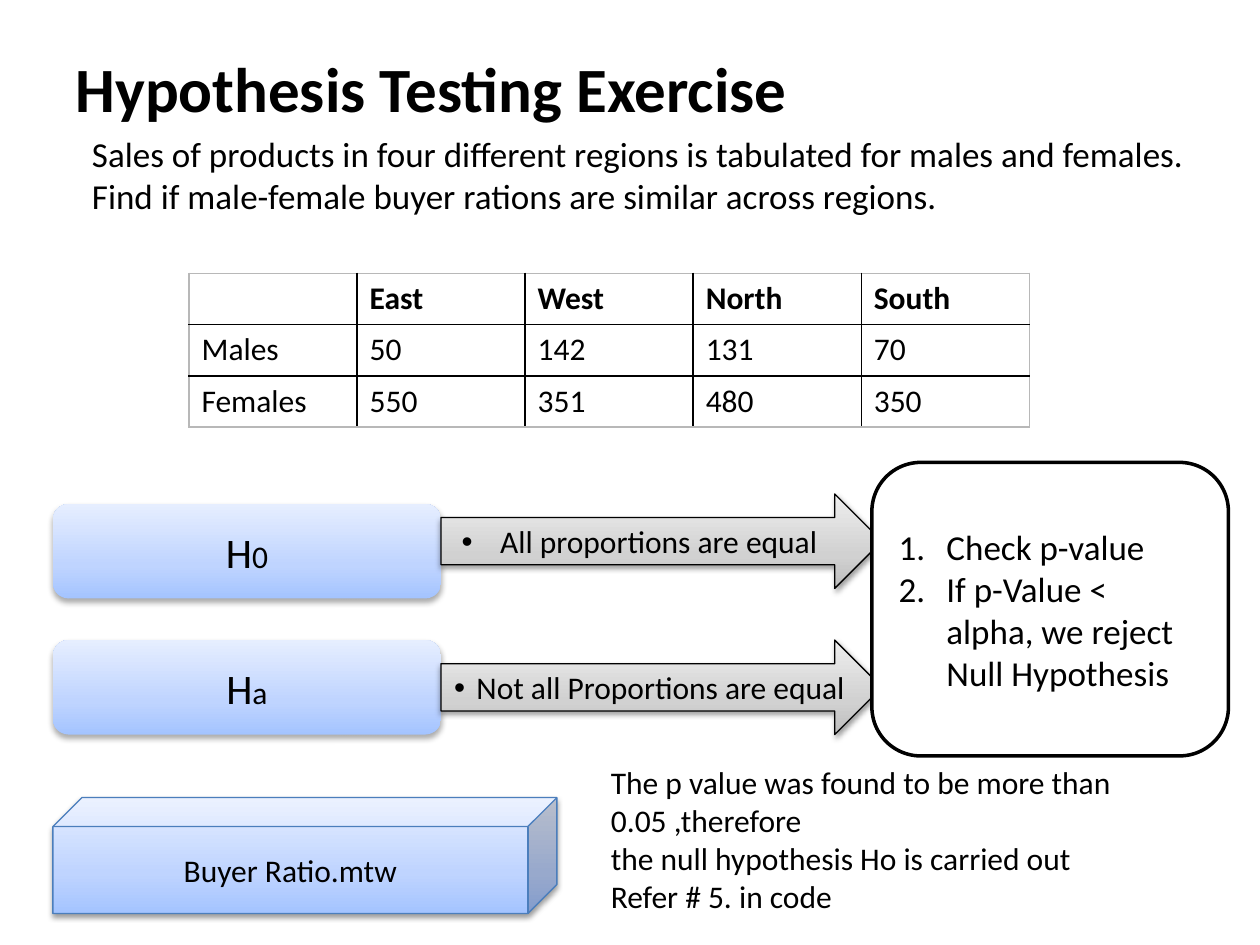
from lxml import etree
from pptx import Presentation
from pptx.dml.color import RGBColor
from pptx.enum.shapes import MSO_SHAPE
from pptx.enum.text import MSO_ANCHOR, MSO_AUTO_SIZE, PP_ALIGN
from pptx.oxml.ns import qn
from pptx.util import Inches, Pt

ROUNDED, ARROW, CUBE = MSO_SHAPE.ROUNDED_RECTANGLE, MSO_SHAPE.RIGHT_ARROW, MSO_SHAPE.CUBE
LEFT, CENTER = PP_ALIGN.LEFT, PP_ALIGN.CENTER
TOP, MIDDLE = MSO_ANCHOR.TOP, MSO_ANCHOR.MIDDLE
NO_FIT, FIT_SHAPE = MSO_AUTO_SIZE.NONE, MSO_AUTO_SIZE.SHAPE_TO_FIT_TEXT

FONT = "Calibri"
COLORS = {"text": "000000", "paper": "FFFFFF", "edge": "4B7EBC", "frame": "B8B8B8"}
# Gradient stops from bottom to top
BLUE = [(0, "A4C4FF"), (35, "BFD4FF"), (100, "E6EEFF")]
GREY = [(0, "BDBDBD"), (35, "D1D1D1"), (100, "EEEEEE")]
# Opacity in percent, blur and distance in points
SOFT_SHADOW = (32, 3.5, 2.2)
TIGHT_SHADOW = (38, 3.1, 1.6)

SALES = [
    ["", "East", "West", "North", "South"],
    ["Males", "50", "142", "131", "70"],
    ["Females", "550", "351", "480", "350"],
]


def color(name):
    return RGBColor.from_string(COLORS[name])


def add_xml(parent, tag, **attributes):
    element = etree.SubElement(parent, qn(tag))
    for name, value in attributes.items():
        element.set(name, str(value))
    return element


def add_color(parent, value):
    return add_xml(parent, "a:srgbClr", val=value)


def place(shape, left, top, width, height):
    shape.left, shape.top = Inches(left), Inches(top)
    shape.width, shape.height = Inches(width), Inches(height)


def format_run(run, size, bold=False):
    run.font.name, run.font.size, run.font.bold = FONT, Pt(size), bold
    run.font.color.rgb = color("text")


def write(shape, lines, size, align=LEFT, anchor=MIDDLE, bold=False):
    frame = shape.text_frame
    frame.text = "\n".join(lines)
    frame.word_wrap = True
    frame.auto_size = NO_FIT
    frame.vertical_anchor = anchor
    for paragraph in frame.paragraphs:
        paragraph.alignment = align
        for run in paragraph.runs:
            format_run(run, size, bold)


def set_marker(paragraph, margin, indent, tag, **attributes):
    properties = paragraph._p.get_or_add_pPr()
    properties.set("marL", str(Inches(margin)))
    properties.set("indent", str(Inches(indent)))
    if tag == "a:buChar":
        add_xml(properties, "a:buFont", typeface="Arial")
    add_xml(properties, tag, **attributes)


def add_block(slide, kind, box, fill, line=None, width=0.75, shadow=None):
    shape = slide.shapes.add_shape(kind, *map(Inches, box))
    if isinstance(fill, list):
        shape.fill.gradient()
        shape.fill.gradient_angle = 90
        stops = next(shape._element.spPr.iter(qn("a:gsLst")))
        stops.clear()
        for position, value in fill:
            add_color(add_xml(stops, "a:gs", pos=position * 1000), value)
    else:
        shape.fill.solid()
        shape.fill.fore_color.rgb = color(fill)
    if line:
        shape.line.color.rgb = color(line)
        shape.line.width = Pt(width)
    else:
        shape.line.fill.background()
    shape.shadow.inherit = False
    if shadow:
        opacity, blur, distance = shadow
        effects = shape._element.spPr.find(qn("a:effectLst"))
        outer = add_xml(effects, "a:outerShdw", blurRad=Pt(blur), dist=Pt(distance),
                        dir=90 * 60000, rotWithShape=0)
        add_xml(add_color(outer, COLORS["text"]), "a:alpha", val=opacity * 1000)
    return shape


def add_hypothesis(slide, top, subscript):
    shape = add_block(slide, ROUNDED, (0.42, top, 3.08, 0.75), BLUE, shadow=SOFT_SHADOW)
    write(shape, ["H"], 24, CENTER)
    run = shape.text_frame.paragraphs[0].add_run()
    run.text = subscript
    format_run(run, 18)


def add_claim(slide, top, text, hanging, right_inset):
    shape = add_block(slide, ARROW, (3.5, top, 3.5, 0.75), GREY, "text", shadow=TIGHT_SHADOW)
    write(shape, [text], 18, CENTER)
    shape.text_frame.margin_right = Inches(right_inset)
    set_marker(shape.text_frame.paragraphs[0], hanging, -hanging, "a:buChar", char="•")


def set_borders(cell, outer_sides):
    properties = cell._tc.get_or_add_tcPr()
    for index, side in enumerate("LRTB"):
        line = etree.Element(qn(f"a:ln{side}"), w=str(Pt(1)))
        name = "frame" if side in outer_sides else "text"
        add_color(add_xml(line, "a:solidFill"), COLORS[name])
        properties.insert(index, line)


def add_sales_table(slide):
    rows, columns = len(SALES), len(SALES[0])
    box = map(Inches, (1.5, 2.17, 6.67, 1.22))
    table = slide.shapes.add_table(rows, columns, *box).table
    table.first_row = table.horz_banding = False
    for row, values in enumerate(SALES):
        for column, value in enumerate(values):
            cell = table.cell(row, column)
            cell.text = value
            cell.fill.solid()
            cell.fill.fore_color.rgb = color("paper")
            for run in cell.text_frame.paragraphs[0].runs:
                format_run(run, 18, bold=row == 0)
            edges = {"L": column == 0, "R": column == columns - 1,
                     "T": row == 0, "B": row == rows - 1}
            set_borders(cell, [side for side, outer in edges.items() if outer])


def add_decision(slide):
    shape = add_block(slide, ROUNDED, (6.92, 3.67, 2.83, 2.33), "paper", "text", 2)
    write(shape, ["Check p-value", "If p-Value < alpha, we reject Null Hypothesis"], 20)
    for paragraph in shape.text_frame.paragraphs:
        set_marker(paragraph, 0.38, -0.38, "a:buAutoNum", type="arabicPeriod")


def add_conclusion(slide):
    box = slide.shapes.add_textbox(*map(Inches, (4.75, 6.01, 5, 1.62)))
    write(box, ["The p value was found to be more than 0.05 ,therefore",
                "the null hypothesis Ho is carried out",
                "Refer # 5. in code"], 18, anchor=TOP)
    box.text_frame.auto_size = FIT_SHAPE


def main():
    presentation = Presentation()
    presentation.slide_width, presentation.slide_height = Inches(10), Inches(7.5)
    slide = presentation.slides.add_slide(presentation.slide_layouts[1])

    # Title and task
    title, body = slide.placeholders
    place(title, 0.5, 0.3, 9, 0.78)
    write(title, ["Hypothesis Testing Exercise"], 36, bold=True)
    place(body, 0.25, 1, 9.58, 6.25)
    write(body, ["Sales of products in four different regions is tabulated for males and females. "
                 "Find if male-female buyer rations are similar across regions."], 20, anchor=TOP)
    set_marker(body.text_frame.paragraphs[0], 0.38, 0, "a:buNone")

    add_sales_table(slide)

    # Hypotheses, their claims and the decision rule
    add_hypothesis(slide, 4, "0")
    add_hypothesis(slide, 5.08, "a")
    add_claim(slide, 3.92, " All proportions are equal", 0.25, 0.26)
    add_claim(slide, 5.08, " Not all Proportions are equal", 0.12, 0.1)
    add_decision(slide)

    # Data file and conclusion
    data_file = add_block(slide, CUBE, (0.42, 6.33, 4, 0.92), BLUE, "edge", shadow=TIGHT_SHADOW)
    write(data_file, ["Buyer Ratio.mtw"], 18, CENTER)
    add_conclusion(slide)

    presentation.save("out.pptx")


if __name__ == "__main__":
    main()
